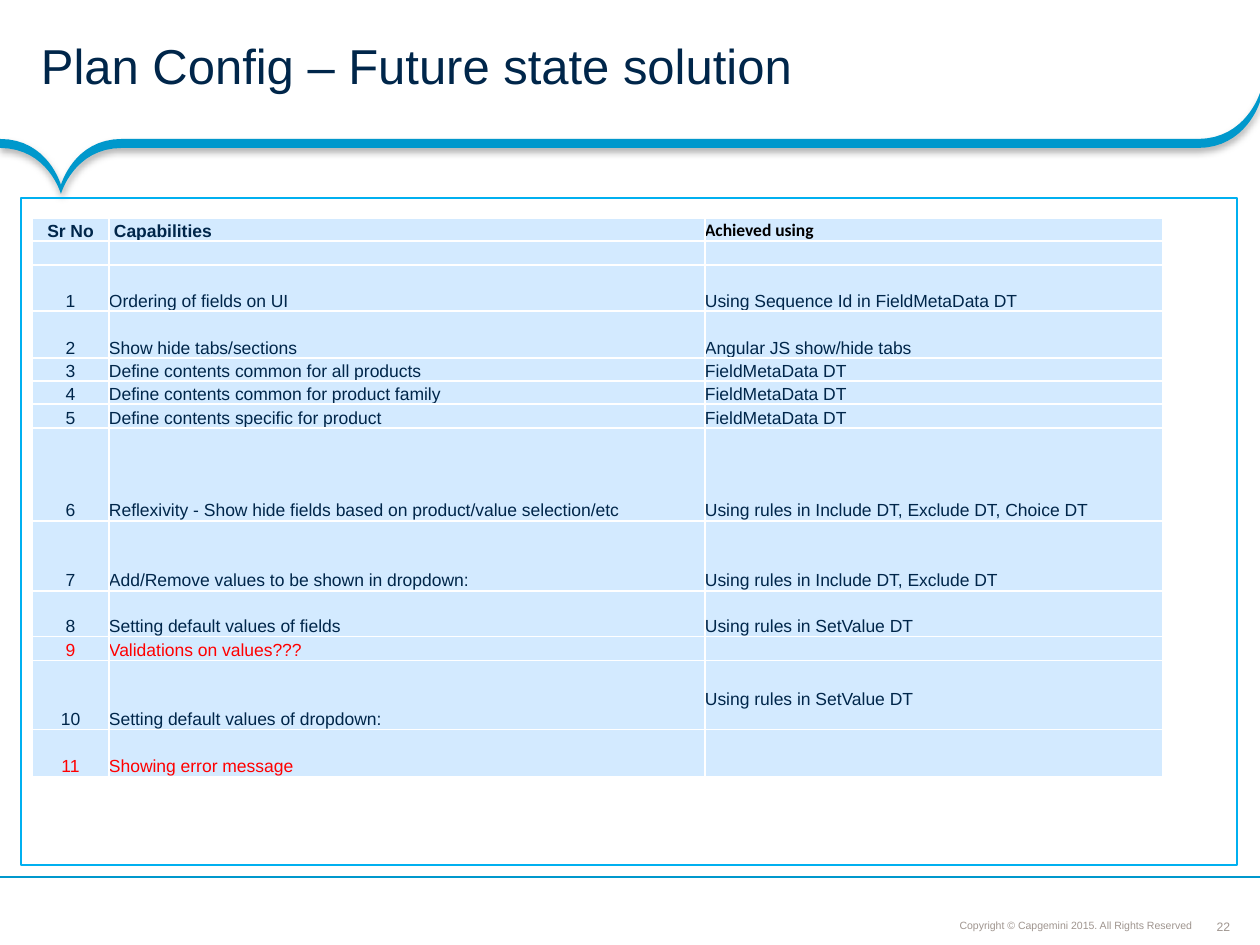
from dataclasses import dataclass
from itertools import accumulate, pairwise

from lxml import etree
from pptx import Presentation
from pptx.dml.color import RGBColor
from pptx.enum.shapes import MSO_CONNECTOR, MSO_SHAPE
from pptx.enum.text import MSO_ANCHOR, MSO_AUTO_SIZE, PP_ALIGN
from pptx.oxml import parse_xml
from pptx.oxml.ns import nsdecls, qn
from pptx.util import Emu, Pt

SCALE = 914400 // 126
NAVY = RGBColor(0x00, 0x26, 0x4A)
BLUE = RGBColor(0x00, 0x98, 0xCC)
SKY = RGBColor(0x00, 0xB0, 0xF0)
PALE = RGBColor(0xD3, 0xEA, 0xFF)
GREY = RGBColor(0x9F, 0x95, 0x8F)
RED = RGBColor(0xFF, 0x00, 0x00)
BLACK = RGBColor(0x00, 0x00, 0x00)
LEFT, CENTER, RIGHT = PP_ALIGN.LEFT, PP_ALIGN.CENTER, PP_ALIGN.RIGHT
MIDDLE, BOTTOM = MSO_ANCHOR.MIDDLE, MSO_ANCHOR.BOTTOM


@dataclass
class Row:
    number: str
    capability: str
    achieved: str
    lines: int = 1
    color: RGBColor = NAVY


@dataclass
class Label:
    text: str
    box: tuple[int, int, int, int]
    size: int
    align: PP_ALIGN
    anchor: MSO_ANCHOR
    inset: int = 0
    wrap: bool = True
    line_spacing: float = 1.0


ROWS = [
    Row("Sr No", "Capabilities", "Achieved using"),
    Row("", "", ""),
    Row("1", "Ordering of fields on UI", "Using Sequence Id in FieldMetaData DT", 2),
    Row("2", "Show hide tabs/sections", "Angular JS show/hide tabs", 2),
    Row("3", "Define contents common for all products", "FieldMetaData DT"),
    Row("4", "Define contents common for product family", "FieldMetaData DT"),
    Row("5", "Define contents specific for product", "FieldMetaData DT"),
    Row("6", "Reflexivity - Show hide fields based on product/value selection/etc",
        "Using rules in Include DT, Exclude DT, Choice DT", 4),
    Row("7", "Add/Remove values to be shown in dropdown:",
        "Using rules in Include DT, Exclude DT", 3),
    Row("8", "Setting default values of fields", "Using rules in SetValue DT", 2),
    Row("9", "Validations on values???", "", color=RED),
    Row("10", "Setting default values of dropdown:", "Using rules in SetValue DT", 3),
    Row("11", "Showing error message", "", 2, RED),
]
TABLE_BOX = (32, 218, 1131, 559)
COLUMN_WIDTHS = (77, 596, 458)

LABELS = [
    Label("22", (1216, 919, 15, 15), 7, CENTER, MIDDLE, wrap=False),
    Label("Copyright © Capgemini 2015. All Rights Reserved", (858, 912, 339, 25),
          6, RIGHT, BOTTOM, inset=5, line_spacing=0.9),
]

# Each entry is a line end (one point) or a Bézier curve (two controls and an end).
BAND_START = (1198, 139)
BAND = [
    [(122, 139)],
    [(74, 139), (61, 185), (61, 185)],
    [(61, 185), (48, 139), (0, 139)],
    [(0, 148)],
    [(48, 148), (61, 194), (61, 194)],
    [(61, 194), (74, 148), (122, 148)],
    [(1198, 148)],
    [(1246, 148), (1260, 102), (1260, 102)],
    [(1260, 93)],
    [(1260, 93), (1246, 139), (1198, 139)],
]
CURVE_STEPS = 16


def px(value: float) -> Emu:
    return Emu(round(value * SCALE))


def format_object(target, values: dict) -> None:
    for name, value in values.items():
        setattr(target, name, value)


def set_margins(target, left: int, top: int, right: int, bottom: int) -> None:
    sides = dict(left=left, top=top, right=right, bottom=bottom)
    format_object(target, {f"margin_{k}": px(v) for k, v in sides.items()})


def add_run(p, text: str, size: int, color: RGBColor, name="Arial", bold=False) -> None:
    r = p.add_run()
    r.text = text
    format_object(r.font, dict(size=Pt(size), name=name, bold=bold))
    r.font.color.rgb = color


def add_title(s, text: str) -> None:
    title = s.shapes.title
    format_object(title, dict(left=0, top=0, width=px(1260), height=px(139)))
    tf = title.text_frame
    format_object(tf, dict(vertical_anchor=MIDDLE, auto_size=MSO_AUTO_SIZE.NONE))
    set_margins(tf, 41, 5, 23, 5)
    p = tf.paragraphs[0]
    format_object(p, dict(alignment=LEFT, line_spacing=0.85))
    add_run(p, text, 28, NAVY)


def band_points() -> list[tuple[Emu, Emu]]:
    """Flatten the band's curves into short straight segments."""
    points, start = [], BAND_START
    for segment in BAND:
        if len(segment) == 1:
            points += segment
        else:
            curve = [start, *segment]
            for step in range(1, CURVE_STEPS + 1):
                t = step / CURVE_STEPS
                weights = ((1 - t) ** 3, 3 * t * (1 - t) ** 2, 3 * t * t * (1 - t), t ** 3)
                points.append(tuple(sum(w * c[axis] for w, c in zip(weights, curve))
                                    for axis in (0, 1)))
        start = segment[-1]
    return [(px(x), px(y)) for x, y in points]


def add_band(s) -> None:
    builder = s.shapes.build_freeform(*map(px, BAND_START), scale=1.0)
    builder.add_line_segments(band_points(), close=True)
    sp = builder.convert_to_shape()
    sp.fill.solid()
    sp.fill.fore_color.rgb = BLUE
    sp.line.fill.background()
    sp.shadow.inherit = False
    sp._element.spPr.find(qn("a:effectLst")).append(parse_xml(
        f'<a:outerShdw {nsdecls("a")} blurRad="{Pt(4)}" dist="{Pt(2)}" dir="5400000" '
        'rotWithShape="0"><a:srgbClr val="000000"><a:alpha val="31000"/></a:srgbClr>'
        '</a:outerShdw>'))


def add_label(s, label: Label) -> None:
    tf = s.shapes.add_textbox(*map(px, label.box)).text_frame
    format_object(tf, dict(word_wrap=label.wrap, vertical_anchor=label.anchor))
    set_margins(tf, *[label.inset] * 4)
    p = tf.paragraphs[0]
    format_object(p, dict(alignment=label.align, line_spacing=label.line_spacing))
    add_run(p, label.text, label.size, GREY)


def add_footer_rule(s) -> None:
    rule = s.shapes.add_connector(MSO_CONNECTOR.STRAIGHT, px(1260), px(877), 0, px(877))
    rule.line.color.rgb = BLUE
    rule.line.width = Pt(0.75)
    etree.SubElement(rule._element.spPr, qn("a:effectLst"))


def add_frame(s) -> None:
    sp = s.shapes.add_shape(MSO_SHAPE.RECTANGLE, *map(px, (21, 198, 1216, 667)))
    sp.fill.background()
    sp.line.color.rgb = SKY
    sp.line.width = Pt(1.5)
    sp.shadow.inherit = False


def style_cell(cell) -> None:
    tc_pr = cell._tc.get_or_add_tcPr()
    for side in ("lnL", "lnR", "lnT", "lnB"):
        tc_pr.append(parse_xml(
            f'<a:{side} {nsdecls("a")} w="{Pt(1)}"><a:solidFill>'
            f'<a:srgbClr val="FFFFFF"/></a:solidFill></a:{side}>'))
    cell.fill.solid()
    cell.fill.fore_color.rgb = PALE
    cell.vertical_anchor = BOTTOM
    set_margins(cell, 0, 0, 0, 0)


def add_capability_table(s) -> None:
    table = s.shapes.add_table(len(ROWS), len(COLUMN_WIDTHS), *map(px, TABLE_BOX)).table
    format_object(table, dict(first_row=False, horz_banding=False))
    for column, width in zip(table.columns, COLUMN_WIDTHS):
        column.width = px(width)
    line_height = TABLE_BOX[3] / sum(row.lines for row in ROWS)
    edges = [round(n * line_height)
             for n in accumulate((row.lines for row in ROWS), initial=0)]
    for i, (row, (top, bottom)) in enumerate(zip(ROWS, pairwise(edges))):
        table.rows[i].height = px(bottom - top)
        for j, text in enumerate((row.number, row.capability, row.achieved)):
            cell = table.cell(i, j)
            style_cell(cell)
            p = cell.text_frame.paragraphs[0]
            p.alignment = CENTER if j == 0 else LEFT
            if not text:
                p._p.get_or_add_endParaRPr().set("sz", "1000")
            elif i == 0 and j == 2:
                add_run(p, text, 10, BLACK, "Calibri", True)
            else:
                add_run(p, text, 10, row.color, bold=i == 0)
    table.cell(0, 1).margin_left = px(5)
    table.cell(11, 2).margin_bottom = px(20)


def main() -> None:
    prs = Presentation()
    format_object(prs, dict(slide_width=px(1260), slide_height=px(945)))
    s = prs.slides.add_slide(prs.slide_layouts[5])
    add_band(s)
    for label in LABELS:
        add_label(s, label)
    add_footer_rule(s)
    add_title(s, "Plan Config – Future state solution")
    add_frame(s)
    add_capability_table(s)
    prs.save("out.pptx")


if __name__ == "__main__":
    main()
